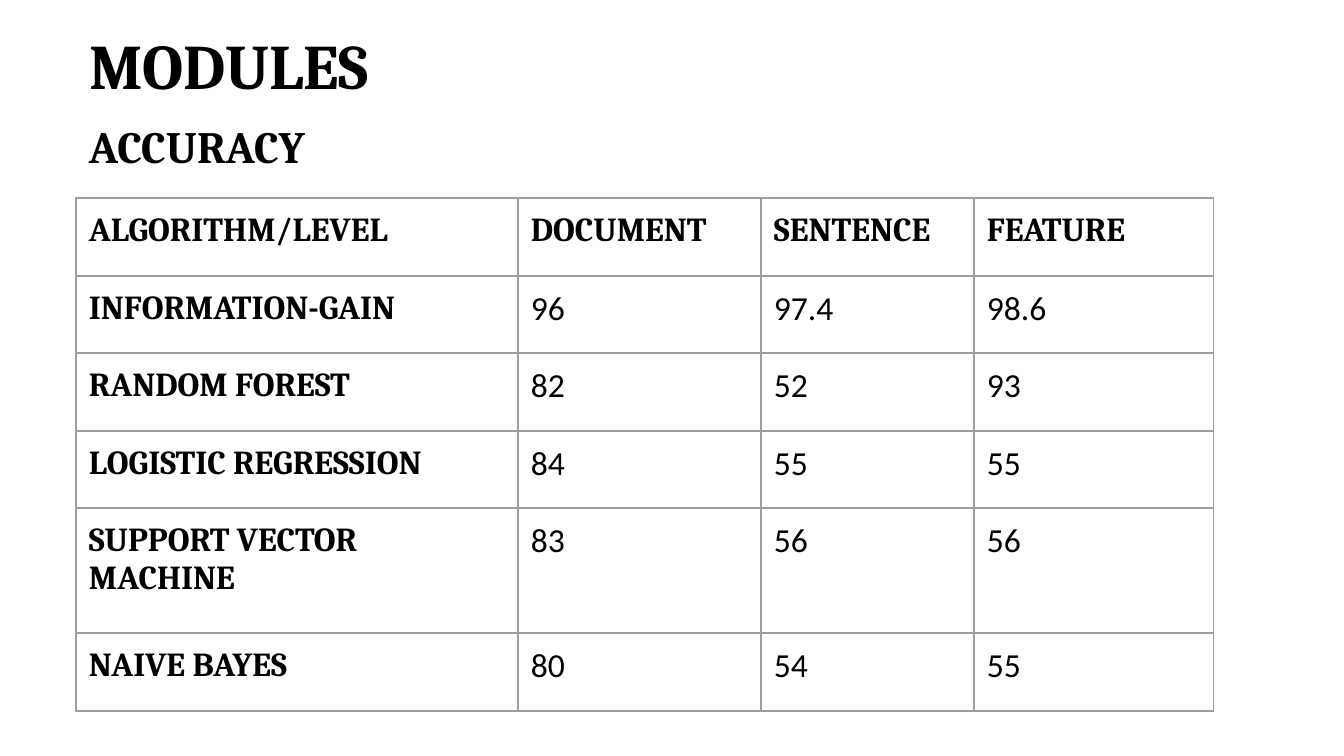
"""Build the slide that compares algorithm accuracy by level."""
from dataclasses import dataclass

from lxml import etree
from pptx import Presentation
from pptx.dml.color import RGBColor
from pptx.enum.text import MSO_ANCHOR
from pptx.oxml.ns import qn
from pptx.util import Emu, Pt

TOP = MSO_ANCHOR.TOP
PX_PER_INCH = 134.4
COLORS = {"text": "000000", "cell": "FFFFFF", "border": "9E9E9E"}
HEAD_FONT = "Cambria"
BODY_FONT = "Calibri"
LEFT = 76
INSET = 13
TABLE_TOP = 198
COL_WIDTHS = [442, 243, 213, 240]
ROW_HEIGHTS = [78, 77, 78, 77, 125, 78]
ROWS = [
    ("ALGORITHM/LEVEL", "DOCUMENT", "SENTENCE", "FEATURE"),
    ("INFORMATION-GAIN", "96", "97.4", "98.6"),
    ("RANDOM FOREST", "82", "52", "93"),
    ("LOGISTIC REGRESSION", "84", "55", "55"),
    ("SUPPORT VECTOR MACHINE", "83", "56", "56"),
    ("NAIVE BAYES", "80", "54", "55"),
]


@dataclass(frozen=True)
class Heading:
    """A bold line of text above the table."""
    text: str
    top: int
    width: int
    height: int
    size: int


HEADINGS = [
    Heading("MODULES", 13, 384, 93, 34),
    Heading("ACCURACY", 106, 352, 93, 24),
]


def px(n: int) -> Emu:
    """Turn pixels into EMU."""
    return Emu(round(n * 914400 / PX_PER_INCH))


def rgb(name: str) -> RGBColor:
    """Look up a named colour."""
    return RGBColor.from_string(COLORS[name])


def set_margins(box) -> None:
    """Give a text frame or cell equal insets."""
    box.margin_left = box.margin_right = px(INSET)
    box.margin_top = box.margin_bottom = px(INSET)


def add_run(p, text: str, size: int, head: bool) -> None:
    """Add one run in the heading or body style."""
    r = p.add_run()
    r.text = text
    r.font.size = Pt(size)
    r.font.name = HEAD_FONT if head else BODY_FONT
    r.font.bold = head
    r.font.color.rgb = rgb("text")


def add_heading(s, h: Heading) -> None:
    """Draw a heading as a text box."""
    sp = s.shapes.add_textbox(px(LEFT), px(h.top), px(h.width), px(h.height))
    tf = sp.text_frame
    tf.word_wrap = True
    tf.vertical_anchor = TOP
    set_margins(tf)
    add_run(tf.paragraphs[0], h.text, h.size, True)


def set_borders(cell) -> None:
    """Draw a thin line on every side of a cell."""
    tcPr = cell._tc.get_or_add_tcPr()
    for i, side in enumerate(("a:lnL", "a:lnR", "a:lnT", "a:lnB")):
        ln = etree.Element(qn(side), w=str(Pt(0.75)))
        fill = etree.SubElement(ln, qn("a:solidFill"))
        etree.SubElement(fill, qn("a:srgbClr"), val=COLORS["border"])
        tcPr.insert(i, ln)


def add_accuracy_table(s) -> None:
    """Draw the table of accuracy values."""
    frame = s.shapes.add_table(
        len(ROWS), len(COL_WIDTHS), px(LEFT), px(TABLE_TOP),
        px(sum(COL_WIDTHS)), px(sum(ROW_HEIGHTS)))
    table = frame.table
    table.horz_banding = False
    table.first_row = False
    for col, width in zip(table.columns, COL_WIDTHS):
        col.width = px(width)
    for i, (row, height) in enumerate(zip(table.rows, ROW_HEIGHTS)):
        row.height = px(height)
        for j, text in enumerate(ROWS[i]):
            cell = table.cell(i, j)
            cell.fill.solid()
            cell.fill.fore_color.rgb = rgb("cell")
            cell.vertical_anchor = TOP
            set_margins(cell)
            set_borders(cell)
            add_run(cell.text_frame.paragraphs[0], text, 18, i == 0 or j == 0)


def main() -> None:
    """Build and save the slide."""
    prs = Presentation()
    prs.slide_width, prs.slide_height = px(1344), px(756)
    s = prs.slides.add_slide(prs.slide_layouts[6])
    for h in HEADINGS:
        add_heading(s, h)
    add_accuracy_table(s)
    prs.save("out.pptx")


if __name__ == "__main__":
    main()
